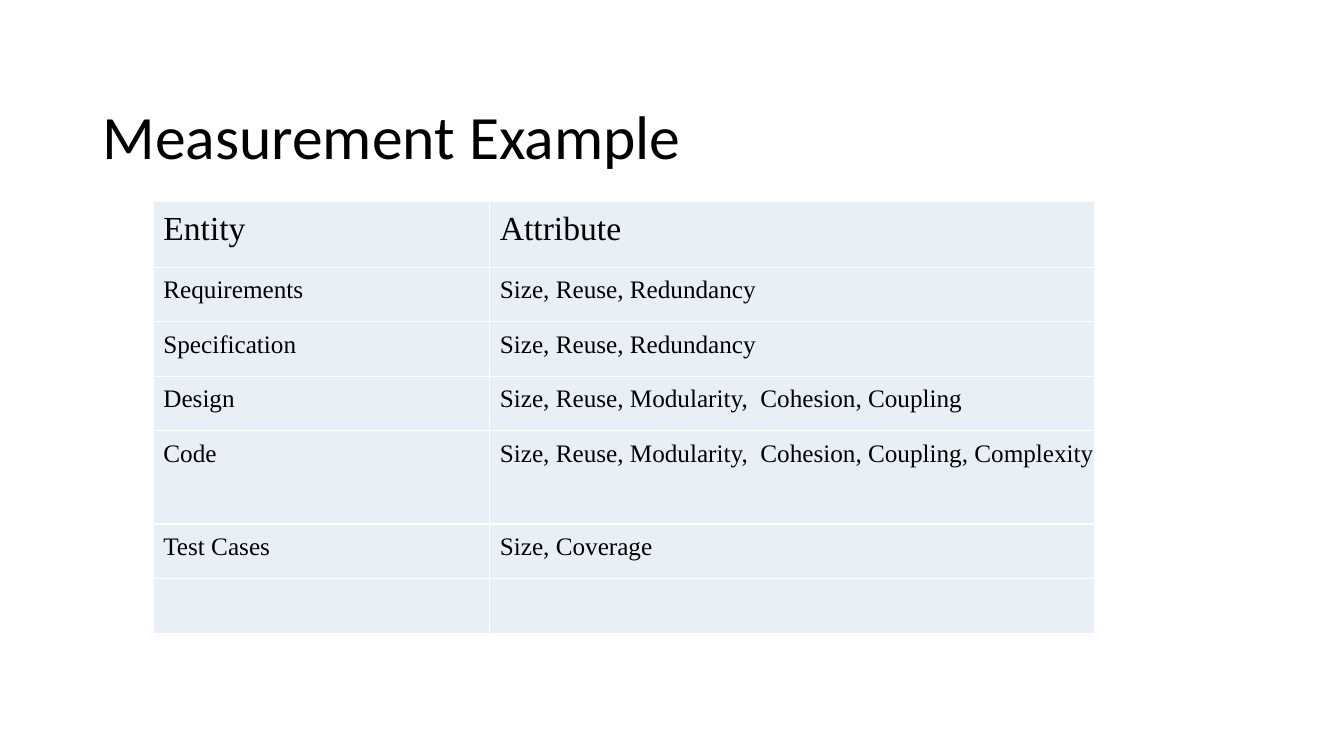
from lxml import etree
from pptx import Presentation
from pptx.dml.color import RGBColor
from pptx.enum.text import MSO_ANCHOR, PP_ALIGN
from pptx.oxml.ns import qn
from pptx.util import Pt

MIDDLE = MSO_ANCHOR.MIDDLE
LEFT = PP_ALIGN.LEFT

ROWS = [
    ("Entity", "Attribute"),
    ("Requirements", "Size, Reuse, Redundancy"),
    ("Specification", "Size, Reuse, Redundancy"),
    ("Design", "Size, Reuse, Modularity,  Cohesion, Coupling"),
    ("Code", "Size, Reuse, Modularity,  Cohesion, Coupling, Complexity"),
    ("Test Cases", "Size, Coverage"),
    ("", ""),
]
COL_WIDTHS = [240.4, 432]
ROW_HEIGHTS = [46.8, 39, 39, 39, 66.6, 39, 39]
CELL_FORMAT = {"margin_left": Pt(7.2), "margin_top": Pt(6.5),
               "margin_right": 0, "margin_bottom": 0}


def rgb(value):
    return RGBColor.from_string(value)


def set_font(font, name, size):
    font.name = name
    font.size = Pt(size)
    font.color.rgb = rgb("000000")


prs = Presentation()
prs.slide_width, prs.slide_height = Pt(960), Pt(540)
s = prs.slides.add_slide(prs.slide_layouts[5])

title = s.shapes.title
title_format = {"left": Pt(66), "top": Pt(65.5), "width": Pt(828), "height": Pt(67.7)}
for key, value in title_format.items():
    setattr(title, key, value)
tf = title.text_frame
tf.text = "Measurement Example"
tf.vertical_anchor = MIDDLE
p = tf.paragraphs[0]
p.alignment = LEFT
p.line_spacing = 0.9
set_font(p.runs[0].font, "Calibri", 44)

table = s.shapes.add_table(len(ROWS), len(COL_WIDTHS), Pt(109.5), Pt(144),
                           Pt(sum(COL_WIDTHS)), Pt(sum(ROW_HEIGHTS))).table
table.first_row = False
table.horz_banding = False
for column, width in zip(table.columns, COL_WIDTHS):
    column.width = Pt(width)

for i, (texts, height) in enumerate(zip(ROWS, ROW_HEIGHTS)):
    table.rows[i].height = Pt(height)
    for j, text in enumerate(texts):
        cell = table.cell(i, j)
        for key, value in CELL_FORMAT.items():
            setattr(cell, key, value)
        tcPr = cell._tc.get_or_add_tcPr()
        for side in ("a:lnL", "a:lnR", "a:lnT", "a:lnB"):
            ln = etree.SubElement(tcPr, qn(side), w=str(Pt(1)))
            fill = etree.SubElement(ln, qn("a:solidFill"))
            etree.SubElement(fill, qn("a:srgbClr"), val="FFFFFF")
        cell.fill.solid()
        cell.fill.fore_color.rgb = rgb("E9EFF7")
        if text:
            cell.text = text
            r = cell.text_frame.paragraphs[0].runs[0]
            set_font(r.font, "Times New Roman", 24 if i == 0 else 18)

prs.save("out.pptx")
